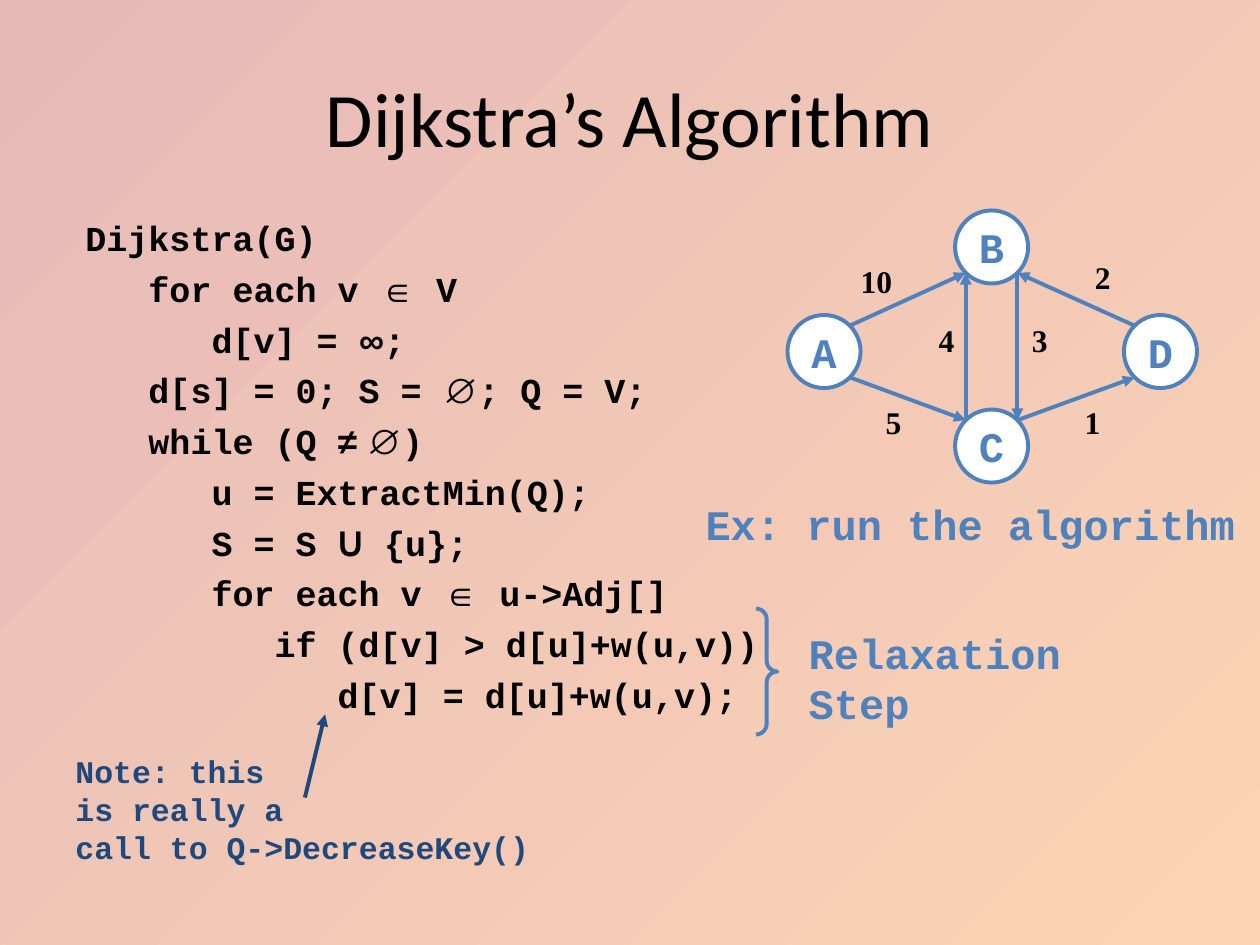
import math

import pptx
from lxml import etree
from pptx.dml.color import RGBColor
from pptx.enum.shapes import MSO_CONNECTOR, MSO_SHAPE
from pptx.enum.text import MSO_ANCHOR, PP_ALIGN
from pptx.oxml.ns import qn
from pptx.util import Inches, Pt

BLACK, WHITE, BLUE, NAVY = "000000", "FFFFFF", "4F81BD", "1F497D"
BACKGROUND = ("E6B9B8", "FCD5B5")
MONO, SERIF = "Courier New", "Times New Roman"

TITLE = "Dijkstra’s Algorithm"

# Pieces of each line alternate between code and symbols.
CODE = [
    ("Dijkstra(G)",),
    ("   for each v ", "∈", " V"),
    ("      d[v] = ", "∞", ";"),
    ("   d[s] = 0; S = ", "∅", "; Q = V;"),
    ("   while (Q ", "≠ ∅", ")"),
    ("      u = ExtractMin(Q);",),
    ("      S = S ", "U", " {u};"),
    ("      for each v ", "∈", " u->Adj[]"),
    ("         if (d[v] > d[u]+w(u,v))",),
    ("            d[v] = d[u]+w(u,v);",),
]
SYMBOL_FONTS = {"U": "Cabin"}

DIAMETER = 0.58
NODES = {"B": (7.58, 1.67), "C": (7.58, 3.25), "D": (8.92, 2.5), "A": (6.25, 2.5)}

# Start, its corner, end, its corner; a corner is (right, down) as signs.
EDGES = [
    ("A", (1, -1), "B", (-1, 1)),
    ("A", (1, 1), "C", (-1, -1)),
    ("C", (1, -1), "D", (-1, 1)),
    ("D", (-1, -1), "B", (1, 1)),
    ("C", (-1, -1), "B", (-1, 1)),
    ("B", (1, 1), "C", (1, -1)),
]
WEIGHTS = [
    ("10", 6.73, 2.03, 0.45),
    ("4", 7.35, 2.5, 0.32),
    ("3", 8.09, 2.5, 0.32),
    ("2", 8.59, 2, 0.32),
    ("1", 8.51, 3.15, 0.32),
    ("5", 6.93, 3.15, 0.32),
]

# Text, position, size, font size, colour, alignment
CAPTIONS = [
    ("Relaxation\nStep", (6.32, 4.93, 2.2, 0.9), 24, BLUE, PP_ALIGN.LEFT),
    ("Note: this\nis really a\ncall to Q->DecreaseKey()", (0.5, 5.92, 3.8, 1), 18, NAVY, PP_ALIGN.LEFT),
    ("Ex: run the algorithm", (5.5, 3.91, 4.4, 0.5), 24, BLUE, PP_ALIGN.CENTER),
]


def rgb(value):
    return RGBColor.from_string(value)


def inches(values):
    return [Inches(value) for value in values]


def style(paragraph, size, color, font=MONO, bold=True, align=PP_ALIGN.LEFT):
    paragraph.alignment = align
    paragraph.font.size = Pt(size)
    paragraph.font.name = font
    paragraph.font.bold = bold
    paragraph.font.color.rgb = rgb(color)


def add_label(slide, text, box, size, color, font=MONO, align=PP_ALIGN.CENTER):
    frame = slide.shapes.add_textbox(*inches(box)).text_frame
    frame.word_wrap = False
    paragraph = frame.paragraphs[0]
    paragraph.text = text.replace("\n", "\v")
    style(paragraph, size, color, font, align=align)


def add_code(slide):
    frame = slide.shapes.add_textbox(*inches((0.58, 1.67, 9, 4.95))).text_frame
    frame.word_wrap = True
    for row, pieces in enumerate(CODE):
        paragraph = frame.add_paragraph() if row else frame.paragraphs[0]
        if row:
            paragraph.space_before = Pt(5)
        style(paragraph, 20, BLACK)
        for index, piece in enumerate(pieces):
            run = paragraph.add_run()
            run.text = piece
            if index % 2:
                run.font.name = SYMBOL_FONTS.get(piece, "Arial")


def add_arrow(slide, start, end, color):
    arrow = slide.shapes.add_connector(MSO_CONNECTOR.STRAIGHT, *inches((*start, *end)))
    arrow.line.color.rgb = rgb(color)
    arrow.line.width = Pt(2.25)
    etree.SubElement(arrow.line._get_or_add_ln(), qn("a:tailEnd"), type="triangle")
    etree.SubElement(arrow._element.spPr, qn("a:effectLst"))


def add_outlined(slide, kind, box):
    shape = slide.shapes.add_shape(kind, *inches(box))
    shape.shadow.inherit = False
    shape.line.color.rgb = rgb(BLUE)
    shape.line.width = Pt(2.25)
    return shape


def add_node(slide, name, corner):
    node = add_outlined(slide, MSO_SHAPE.OVAL, (*corner, DIAMETER, DIAMETER))
    node.fill.solid()
    node.fill.fore_color.rgb = rgb(WHITE)
    frame = node.text_frame
    frame.word_wrap = False
    frame.vertical_anchor = MSO_ANCHOR.MIDDLE
    frame.text = name
    style(frame.paragraphs[0], 24, BLUE, align=PP_ALIGN.CENTER)


def rim_point(name, signs):
    """Return the point on a node's circle at 45 degrees towards a corner."""
    radius = DIAMETER / 2
    return [side + radius + sign * radius * math.sqrt(0.5) for side, sign in zip(NODES[name], signs)]


def main():
    deck = pptx.Presentation()
    deck.slide_width, deck.slide_height = inches((10, 7.5))
    slide = deck.slides.add_slide(deck.slide_layouts[5])

    backdrop = slide.background.fill
    backdrop.gradient()
    backdrop.gradient_angle = 315
    for stop, color in zip(backdrop.gradient_stops, BACKGROUND):
        stop.color.rgb = rgb(color)

    title = slide.shapes.title
    title.left, title.top, title.width, title.height = inches((0.5, 0.3, 9, 1.25))
    title.text_frame.text = TITLE
    title.text_frame.vertical_anchor = MSO_ANCHOR.MIDDLE
    style(title.text_frame.paragraphs[0], 44, BLACK, "Calibri", False, PP_ALIGN.CENTER)

    add_code(slide)

    brace = add_outlined(slide, MSO_SHAPE.RIGHT_BRACE, (6, 4.83, 0.17, 1))
    brace.fill.background()
    brace.adjustments[0] = 0.5

    for text, box, size, color, align in CAPTIONS:
        add_label(slide, text, box, size, color, align=align)
    add_arrow(slide, (2.42, 6.33), (2.58, 5.67), NAVY)

    for name, corner in NODES.items():
        add_node(slide, name, corner)
    for start, start_signs, end, end_signs in EDGES:
        add_arrow(slide, rim_point(start, start_signs), rim_point(end, end_signs), BLUE)
    for weight, left, top, width in WEIGHTS:
        add_label(slide, weight, (left, top, width, 0.4), 18, BLACK, SERIF)

    deck.save("out.pptx")


if __name__ == "__main__":
    main()
